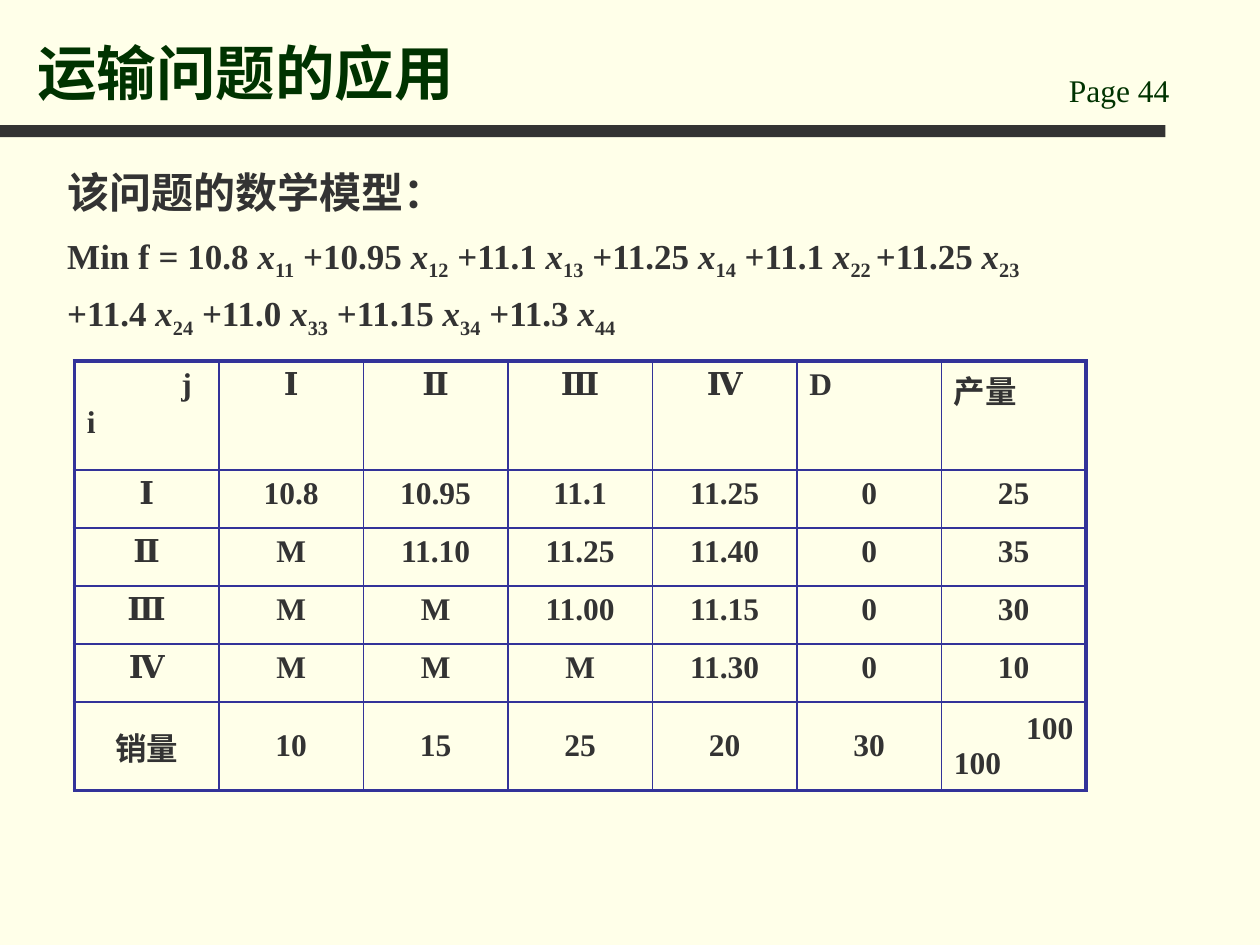
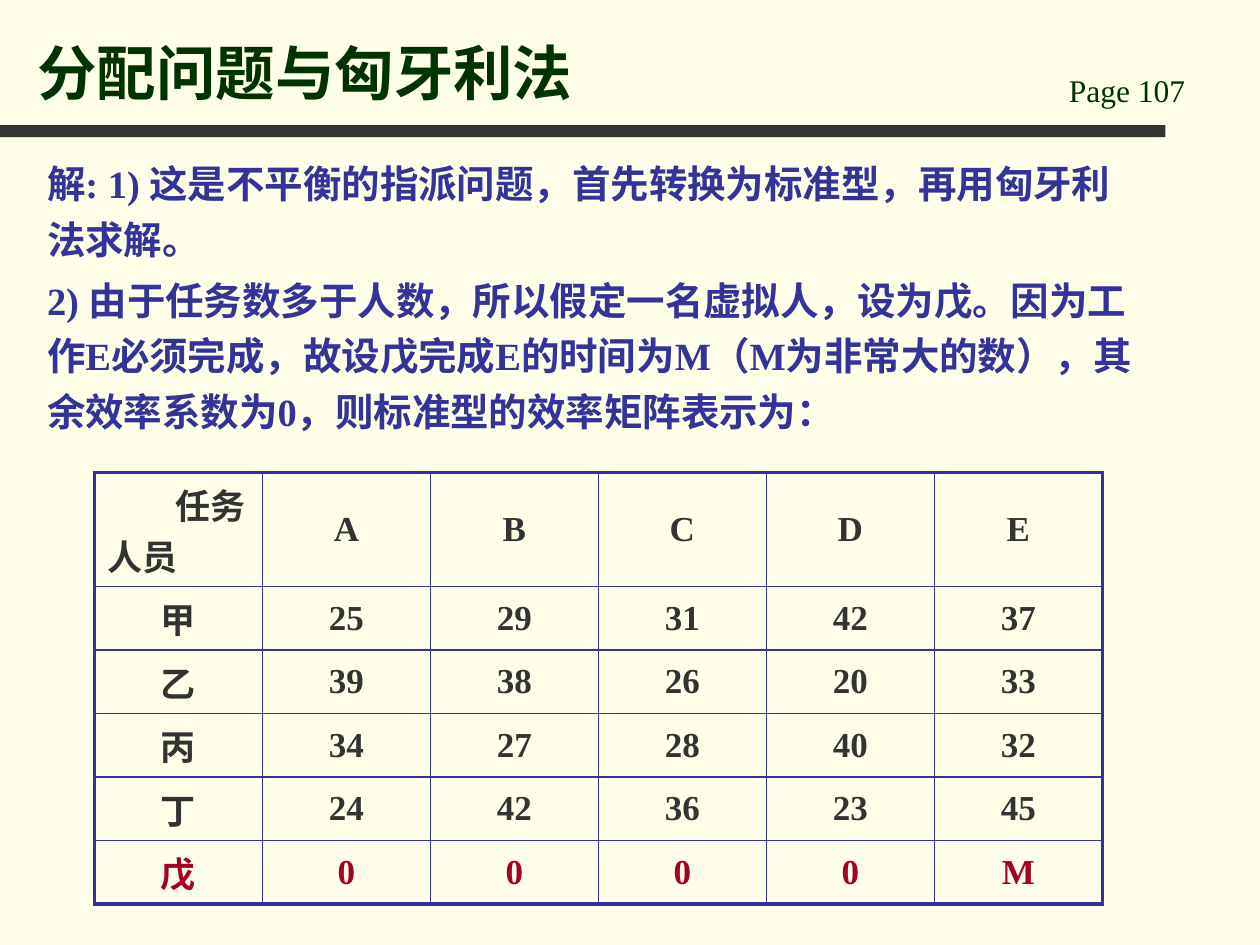
import pptx
import pptx.util
import pptx.dml.color
import pptx.enum.shapes
import pptx.enum.text
import pptx.oxml.ns
from lxml import etree

COLORS = {
    "background": "FFFFE9",
    "title": "003300",
    "ink": "333333",
    "accent": "333399",
    "dummy": "A50021",
}
FONT = "Times New Roman"
ALIGN = pptx.enum.text.PP_ALIGN
ANCHOR = pptx.enum.text.MSO_ANCHOR

# Grid of 100 columns by 75 rows; boxes are (left, top, width, height)
SLIDE_WIDTH, SLIDE_HEIGHT = pptx.util.Inches(10), pptx.util.Inches(7.5)
COLUMN, ROW = SLIDE_WIDTH / 100, SLIDE_HEIGHT / 75
BAND_BOX = (0, 9.93, 92.5, 0.95)
PAGE_BOX = (83.85, 5.15, 14.2, 4)
TITLE_BOX = (2, 1.22, 80.3, 7.8)

OUTER_BORDER, INNER_BORDER = pptx.util.Pt(2.25), pptx.util.Pt(1)

# Each term: coefficient with its leading gap, then the subscript of x
COST_TERMS = [
    [("Min f = 10.8", "11"), (" +10.95", "12"), (" +11.1", "13"),
     (" +11.25", "14"), (" +11.1", "22 "), ("+11.25", "23")],
    [("+11.4", "24"), (" +11.0", "33"), (" +11.15", "34"), (" +11.3", "44")],
]
TRANSPORT_COSTS = [
    ["j\ni", "Ⅰ", "Ⅱ", "Ⅲ", "Ⅳ", "D", "产量"],
    ["Ⅰ", "10.8", "10.95", "11.1", "11.25", "0", "25"],
    ["Ⅱ", "M", "11.10", "11.25", "11.40", "0", "35"],
    ["Ⅲ", "M", "M", "11.00", "11.15", "0", "30"],
    ["Ⅳ", "M", "M", "M", "11.30", "0", "10"],
    ["销量", "10", "15", "25", "20", "30", "100\n100"],
]
TASK_TIMES = [
    ["任务\n人员", "A", "B", "C", "D", "E"],
    ["甲", "25", "29", "31", "42", "37"],
    ["乙", "39", "38", "26", "20", "33"],
    ["丙", "34", "27", "28", "40", "32"],
    ["丁", "24", "42", "36", "23", "45"],
    ["戊", "0", "0", "0", "0", "M"],
]
SOLUTION_STEPS = [
    "解: 1) 这是不平衡的指派问题，首先转换为标准型，再用匈牙利法求解。",
    "2) 由于任务数多于人数，所以假定一名虚拟人，设为戊。因为工作E必须完成，"
    "故设戊完成E的时间为M（M为非常大的数），其余效率系数为0，"
    "则标准型的效率矩阵表示为：",
]


def rgb(color):
    return pptx.dml.color.RGBColor.from_string(COLORS[color])


def place(box):
    left, top, width, height = box
    return [round(n) for n in
            (left * COLUMN, top * ROW, width * COLUMN, height * ROW)]


def style(paragraph, size, color, bold=True):
    font = paragraph.font
    font.name, font.size, font.bold = FONT, pptx.util.Pt(size), bold
    font.color.rgb = rgb(color)


def write(frame, lines, size, color, bold=True, spacing=1.0, gap=0):
    frame.text = "\n".join(lines)
    for index, paragraph in enumerate(frame.paragraphs):
        paragraph.line_spacing = spacing
        if index:
            paragraph.space_before = pptx.util.Pt(gap)
        style(paragraph, size, color, bold)


def text_area(slide, box):
    frame = slide.shapes.add_textbox(*place(box)).text_frame
    frame.word_wrap = True
    return frame


def add_page(deck, title, number):
    """Background, band, page number and title shared by all slides."""
    slide = deck.slides.add_slide(deck.slide_layouts[6])
    slide.background.fill.solid()
    slide.background.fill.fore_color.rgb = rgb("background")

    band = slide.shapes.add_shape(
        pptx.enum.shapes.MSO_SHAPE.RECTANGLE, *place(BAND_BOX))
    band.shadow.inherit = False
    band.fill.solid()
    band.fill.fore_color.rgb = rgb("ink")
    band.line.fill.background()

    write(text_area(slide, PAGE_BOX), [f"Page {number}"], 18, "title", bold=False)
    heading = text_area(slide, TITLE_BOX)
    heading.vertical_anchor = ANCHOR.BOTTOM
    write(heading, [title], 34, "title")
    return slide


def set_borders(cell, widths):
    properties = cell._tc.get_or_add_tcPr()
    for position, (side, width) in enumerate(widths.items()):
        line = etree.Element(pptx.oxml.ns.qn(f"a:ln{side}"), w=str(int(width)))
        fill = etree.SubElement(line, pptx.oxml.ns.qn("a:solidFill"))
        etree.SubElement(fill, pptx.oxml.ns.qn("a:srgbClr"), val=COLORS["accent"])
        properties.insert(position, line)


def add_grid(slide, box, values, row_heights, size, anchors, gap=0):
    """Centred table with a heavy frame; anchors holds one entry per row."""
    rows, columns = len(values), len(values[0])
    grid = slide.shapes.add_table(rows, columns, *place(box)).table
    grid.first_row = grid.horz_banding = False
    for r, row in enumerate(values):
        grid.rows[r].height = round(row_heights[r] * ROW)
        for c, value in enumerate(row):
            cell = grid.cell(r, c)
            cell.fill.background()
            cell.vertical_anchor = anchors[r]
            write(cell.text_frame, value.split("\n"), size, "ink", gap=gap)
            for paragraph in cell.text_frame.paragraphs:
                paragraph.alignment = ALIGN.CENTER
            set_borders(cell, {
                "L": INNER_BORDER if c else OUTER_BORDER,
                "R": INNER_BORDER if c < columns - 1 else OUTER_BORDER,
                "T": INNER_BORDER if r else OUTER_BORDER,
                "B": INNER_BORDER if r < rows - 1 else OUTER_BORDER,
            })
    return grid


def align_cell(cell, *alignments):
    for paragraph, alignment in zip(cell.text_frame.paragraphs, alignments):
        paragraph.alignment = alignment


def split_corner(cell, indent):
    """Corner cell: column heading pushed right, row heading at the left."""
    align_cell(cell, ALIGN.LEFT, ALIGN.LEFT)
    upper = cell.text_frame.paragraphs[0]
    upper._p.get_or_add_pPr().set("marL", str(round(indent * COLUMN)))


def add_model(slide, box):
    """Heading and objective function with subscripted variables."""
    frame = text_area(slide, box)
    write(frame, ["该问题的数学模型：", ""], 24, "ink", spacing=1.2, gap=4.5)
    objective = frame.paragraphs[1]
    style(objective, 20, "ink")
    for line, terms in enumerate(COST_TERMS):
        if line:
            objective.add_line_break()
        for coefficient, subscript in terms:
            objective.add_run().text = f"{coefficient} "
            variable = objective.add_run()
            variable.text, variable.font.italic = "x", True
            indices = objective.add_run()
            indices.text = subscript
            indices.font._element.set("baseline", "-25000")


def add_transport_slide(deck):
    slide = add_page(deck, "运输问题的应用", 44)
    add_model(slide, (4.35, 11.9, 85.1, 14.4))
    costs = add_grid(slide, (5.9, 28.65, 80.3, 34), TRANSPORT_COSTS,
                     [8.65] + [4.61] * 4 + [7], 18,
                     [ANCHOR.TOP] * 5 + [ANCHOR.MIDDLE], gap=2)
    split_corner(costs.cell(0, 0), 7.5)
    for column in (5, 6):
        align_cell(costs.cell(0, column), ALIGN.LEFT)
    totals = costs.cell(5, 6)
    align_cell(totals, ALIGN.RIGHT, ALIGN.LEFT)
    totals.text_frame.paragraphs[1].space_before = pptx.util.Pt(0)


def add_assignment_slide(deck):
    slide = add_page(deck, "分配问题与匈牙利法", 107)
    write(text_area(slide, (2.75, 11.5, 89, 24.4)), SOLUTION_STEPS, 22, "accent",
          spacing=1.2, gap=3.3)
    times = add_grid(slide, (7.5, 37.5, 80, 34), TASK_TIMES,
                     [9.05] + [5.04] * 5, 20, [ANCHOR.MIDDLE] * 6)
    split_corner(times.cell(0, 0), 5.4)
    # Dummy worker row
    for cell in times.rows[5].cells:
        style(cell.text_frame.paragraphs[0], 20, "dummy")


def main():
    deck = pptx.Presentation()
    deck.slide_width, deck.slide_height = SLIDE_WIDTH, SLIDE_HEIGHT
    add_transport_slide(deck)
    add_assignment_slide(deck)
    deck.save("out.pptx")


if __name__ == "__main__":
    main()
